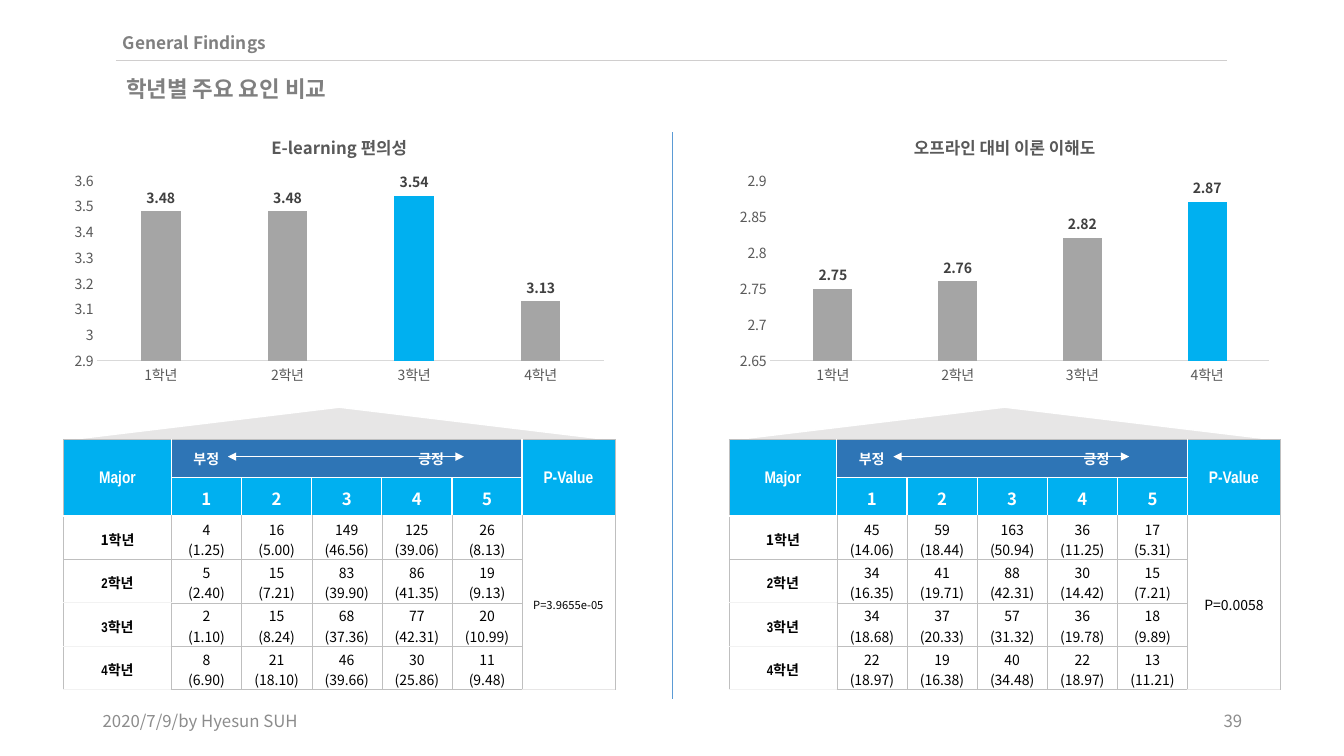
import math

from lxml import etree
from pptx import Presentation
from pptx import util as u
from pptx.chart.data import CategoryChartData
from pptx.dml.color import RGBColor
from pptx.enum import chart as ch, shapes, text
from pptx.oxml import ns

WHITE = RGBColor(0xFF, 0xFF, 0xFF)
BLACK = RGBColor(0, 0, 0)
SKY = RGBColor(0x00, 0xB0, 0xF0)
NAVY = RGBColor(0x2E, 0x75, 0xB6)
RULE_BLUE = RGBColor(0x5B, 0x9B, 0xD5)
RULE_GRAY = RGBColor(0xD0, 0xCE, 0xCE)
HEADING = RGBColor(0x80, 0x80, 0x80)
FOOTER = RGBColor(0x8C, 0x8C, 0x8C)
BAR = RGBColor(0xA5, 0xA5, 0xA5)
AXIS_LINE = RGBColor(0xD9, 0xD9, 0xD9)
AXIS_TEXT = RGBColor(0x59, 0x59, 0x59)
LABEL_TEXT = RGBColor(0x40, 0x40, 0x40)
GRID = RGBColor(0xBF, 0xBF, 0xBF)
PALE = RGBColor(0xF2, 0xF2, 0xF2)
SILVER = RGBColor(0xE7, 0xE6, 0xE6)

NOTO, NARROW = "Noto Sans CJK KR", "Arial Narrow"
LEFT, CENTER, RIGHT = text.PP_ALIGN.LEFT, text.PP_ALIGN.CENTER, text.PP_ALIGN.RIGHT
TOP, MIDDLE = text.MSO_ANCHOR.TOP, text.MSO_ANCHOR.MIDDLE
YEARS = ["1학년", "2학년", "3학년", "4학년"]
PANEL_WIDTH = 5.47
MAJOR_WIDTH, P_WIDTH = 1.07, 0.92

PANELS = [
    dict(left=0.63, title="E-learning 편의성", means=[3.48, 3.48, 3.54, 3.13],
         scale=(2.9, 3.6, 0.1), p_value="P=3.9655e-05", p_size=8,
         counts=[[4, 16, 149, 125, 26], [5, 15, 83, 86, 19],
                 [2, 15, 68, 77, 20], [8, 21, 46, 30, 11]]),
    dict(left=7.23, title="오프라인 대비 이론 이해도", means=[2.75, 2.76, 2.82, 2.87],
         scale=(2.65, 2.9, 0.05), p_value="P=0.0058", p_size=10,
         counts=[[45, 59, 163, 36, 17], [34, 41, 88, 30, 15],
                 [34, 37, 57, 36, 18], [22, 19, 40, 22, 13]]),
]


def style_font(font, size, color, bold=False, name=NOTO):
    font.size, font.bold, font.name = u.Pt(size), bold, name
    font.color.rgb = color


def write(frame, words, size=10, color=BLACK, bold=False, name=NOTO, align=LEFT, tab=None):
    """Fill a text frame, one paragraph a line; tab is a stop in inches."""
    for i, line in enumerate(words.split("\n")):
        paragraph = frame.add_paragraph() if i else frame.paragraphs[0]
        paragraph.alignment = align
        if tab:
            stops = etree.SubElement(paragraph._p.get_or_add_pPr(), ns.qn("a:tabLst"))
            etree.SubElement(stops, ns.qn("a:tab"), pos=str(u.Inches(tab)), algn="l")
        run = paragraph.add_run()
        run.text = line
        style_font(run.font, size, color, bold, name)
        east_asian = etree.SubElement(run._r.get_or_add_rPr(), ns.qn("a:ea"))
        east_asian.set("typeface", NOTO)


def set_frame(frame, anchor, margins=(0.1, 0.05)):
    frame.word_wrap = True
    frame.auto_size = text.MSO_AUTO_SIZE.NONE
    frame.vertical_anchor = anchor
    frame.margin_left = frame.margin_right = u.Inches(margins[0])
    frame.margin_top = frame.margin_bottom = u.Inches(margins[1])


def add_text(parent, box, words, anchor=TOP, margins=(0.1, 0.05), **fmt):
    frame = parent.add_textbox(*map(u.Inches, box)).text_frame
    set_frame(frame, anchor, margins)
    write(frame, words, **fmt)


def add_line(parent, x1, y1, x2, y2, color, arrows=False):
    line = parent.add_connector(shapes.MSO_CONNECTOR.STRAIGHT, *map(u.Inches, (x1, y1, x2, y2)))
    line.line.color.rgb, line.line.width = color, u.Pt(0.5)
    if arrows:
        for end in ("a:headEnd", "a:tailEnd"):
            etree.SubElement(line.line._get_or_add_ln(), ns.qn(end), type="triangle")
    etree.SubElement(line._element.spPr, ns.qn("a:effectLst"))


def add_header(slide):
    add_text(slide.shapes, (1.15, 0.29, 6.7, 0.28), "General Findings",
             margins=(0.07, 0.03), size=12.3, color=HEADING, bold=True)
    add_line(slide.shapes, 1.15, 0.6, 12.17, 0.6, RULE_GRAY)
    title = slide.shapes.title
    title.left, title.top, title.width, title.height = map(u.Inches, (1.15, 0.7, 7.55, 0.37))
    set_frame(title.text_frame, TOP)
    write(title.text_frame, "학년별 주요 요인 비교", size=16, color=HEADING, bold=True, name=NARROW)


def add_footer(slide):
    for left, words, align in ((0.92, "2020/7/9/by Hyesun SUH", LEFT), (9.42, "39", RIGHT)):
        add_text(slide.shapes, (left, 6.95, 3, 0.4), words, MIDDLE,
                 size=12, color=FOOTER, align=align)


def add_means_chart(slide, left, panel):
    data = CategoryChartData()
    data.categories = YEARS
    data.add_series(panel["title"], panel["means"])
    chart = slide.shapes.add_chart(
        ch.XL_CHART_TYPE.COLUMN_CLUSTERED,
        *map(u.Inches, (left, 1.18, PANEL_WIDTH, 2.69)), data).chart
    style_font(chart.font, 10, BLACK)
    chart.has_legend = False
    chart.has_title = True
    write(chart.chart_title.text_frame, panel["title"], size=12, color=AXIS_TEXT,
          bold=True, align=CENTER)
    chart.chart_title.include_in_layout = False

    means_axis = chart.value_axis
    means_axis.minimum_scale, means_axis.maximum_scale, means_axis.major_unit = panel["scale"]
    means_axis.has_major_gridlines = False
    for axis in (chart.category_axis, means_axis):
        axis.major_tick_mark = axis.minor_tick_mark = ch.XL_TICK_MARK.NONE
        style_font(axis.tick_labels.font, 10, AXIS_TEXT)
    means_axis.format.line.fill.background()
    chart.category_axis.format.line.color.rgb = AXIS_LINE
    chart.category_axis.format.line.width = u.Pt(0.75)

    plot = chart.plots[0]
    plot.gap_width, plot.overlap, plot.vary_by_categories = 219, -27, False
    bars = plot.series[0]
    bars.format.fill.solid()
    bars.format.fill.fore_color.rgb = BAR
    highest = bars.points[panel["means"].index(max(panel["means"]))].format.fill
    highest.solid()
    highest.fore_color.rgb = SKY
    labels = bars.data_labels
    labels.show_value = True
    labels.position = ch.XL_LABEL_POSITION.OUTSIDE_END
    style_font(labels.font, 10, LABEL_TEXT, bold=True)


def cell_borders(row, col):
    """Return the left, right, top and bottom colours of a grid place."""
    if row < 2:
        return (GRID if col == 0 else WHITE, GRID if col == 6 else WHITE,
                GRID if row == 0 else WHITE, WHITE)
    top = WHITE if row == 2 else PALE if col == 0 and row > 3 else GRID
    bottom = SILVER if col == 6 else PALE if col == 0 and row > 2 else GRID
    return GRID, GRID, top, bottom


def format_cell(cell, row, col):
    properties = cell._tc.get_or_add_tcPr()
    for side, color in zip("LRTB", cell_borders(row, col)):
        width = u.Pt(0.25 if color == GRID else 1)
        line = etree.SubElement(properties, ns.qn("a:ln" + side), w=str(width))
        fill = etree.SubElement(line, ns.qn("a:solidFill"))
        etree.SubElement(fill, ns.qn("a:srgbClr"), val=str(color))
    if row < 2:
        cell.fill.solid()
        cell.fill.fore_color.rgb = NAVY if row == 0 and 0 < col < 6 else SKY
    else:
        cell.fill.background()
    cell.vertical_anchor = MIDDLE
    cell.margin_left = cell.margin_right = u.Inches(0.05)
    cell.margin_top, cell.margin_bottom = u.Inches(0.03), 0


def count_with_share(count, total):
    share = math.floor(10000 * count / total + 0.5) / 100
    return f"{count}\n({share:.2f})"


def add_counts_table(slide, left, panel):
    table = slide.shapes.add_table(6, 7, *map(u.Inches, (left, 4.36, PANEL_WIDTH, 2.48))).table
    score_width = (PANEL_WIDTH - MAJOR_WIDTH - P_WIDTH) / 5
    for column, width in zip(table.columns, [MAJOR_WIDTH] + [score_width] * 5 + [P_WIDTH]):
        column.width = u.Inches(width)
    for row, height in zip(table.rows, [0.38] * 2 + [0.43] * 4):
        row.height = u.Inches(height)
    for row in range(6):
        for col in range(7):
            format_cell(table.cell(row, col), row, col)
    for first, last in (((0, 0), (1, 0)), ((0, 1), (0, 5)), ((0, 6), (1, 6)), ((2, 6), (5, 6))):
        table.cell(*first).merge(table.cell(*last))

    def put(row, col, words, **fmt):
        write(table.cell(row, col).text_frame, words, align=CENTER, **fmt)

    for col, heading in ((0, "Major"), (6, "P-Value")):
        put(0, col, heading, size=12, color=WHITE, bold=True, name=NARROW)
    for score in range(1, 6):
        put(1, score, str(score), size=12, color=WHITE, bold=True)
    for row, (year, counts) in enumerate(zip(YEARS, panel["counts"]), 2):
        put(row, 0, year, bold=True, name=NOTO if row == 2 else NARROW)
        for col, count in enumerate(counts, 1):
            put(row, col, count_with_share(count, sum(counts)))
    put(2, 6, panel["p_value"], size=panel["p_size"])


def add_panel(slide, panel):
    left = panel["left"]
    pointer = slide.shapes.add_shape(shapes.MSO_SHAPE.ISOSCELES_TRIANGLE,
                                     *map(u.Inches, (left, 4.04, PANEL_WIDTH, 0.33)))
    pointer.shadow.inherit = False
    pointer.fill.solid()
    pointer.fill.fore_color.rgb = SILVER
    pointer.line.color.rgb, pointer.line.width = WHITE, u.Pt(1)
    add_counts_table(slide, left, panel)
    opinion = slide.shapes.add_group_shape().shapes
    add_text(opinion, (left + 1.19, 4.42, 3.69, 0.27), "부정\t긍정",
             color=WHITE, bold=True, tab=2.23)
    add_line(opinion, left + 1.63, 4.53, left + 3.97, 4.53, WHITE, arrows=True)
    add_means_chart(slide, left, panel)


def main():
    deck = Presentation()
    deck.slide_width, deck.slide_height = u.Inches(13.33), u.Inches(7.5)
    slide = deck.slides.add_slide(deck.slide_layouts[5])
    add_header(slide)
    add_line(slide.shapes, 6.67, 6.93, 6.67, 1.31, RULE_BLUE)
    for panel in PANELS:
        add_panel(slide, panel)
    add_footer(slide)
    deck.save("out.pptx")


if __name__ == "__main__":
    main()
